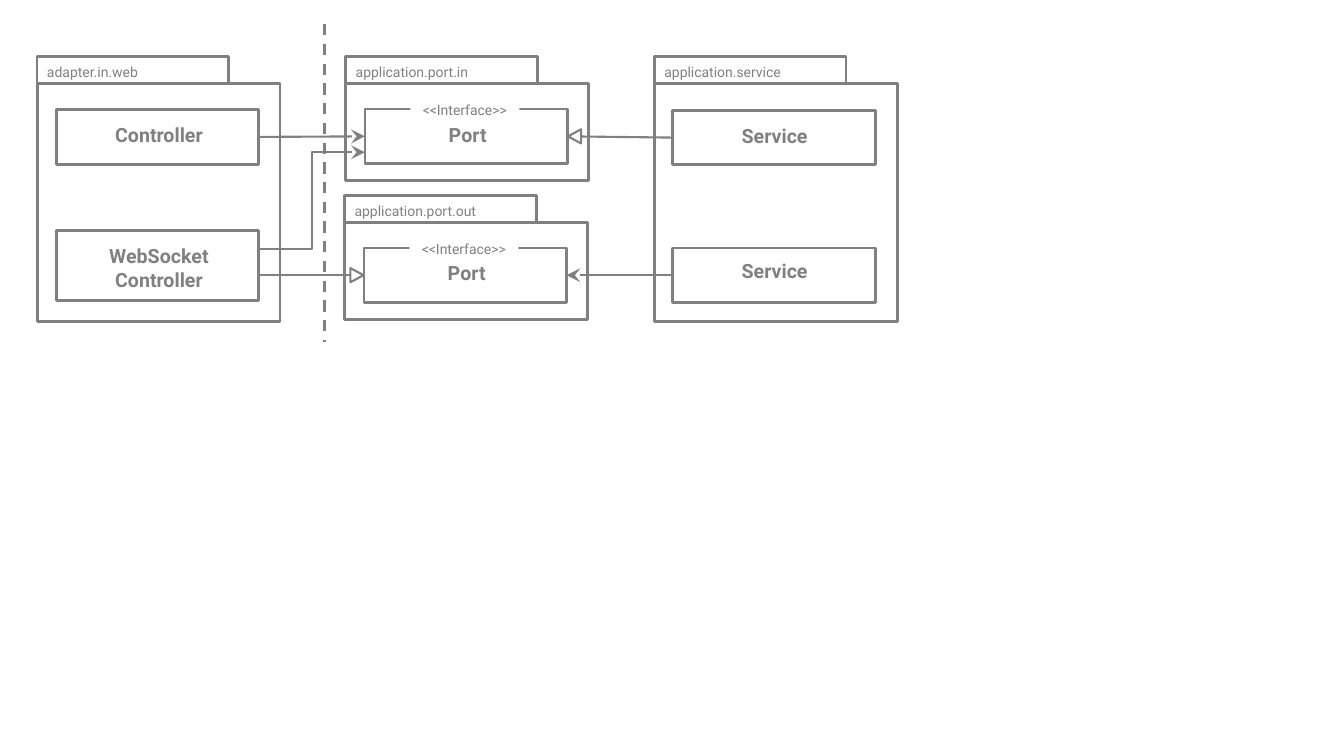
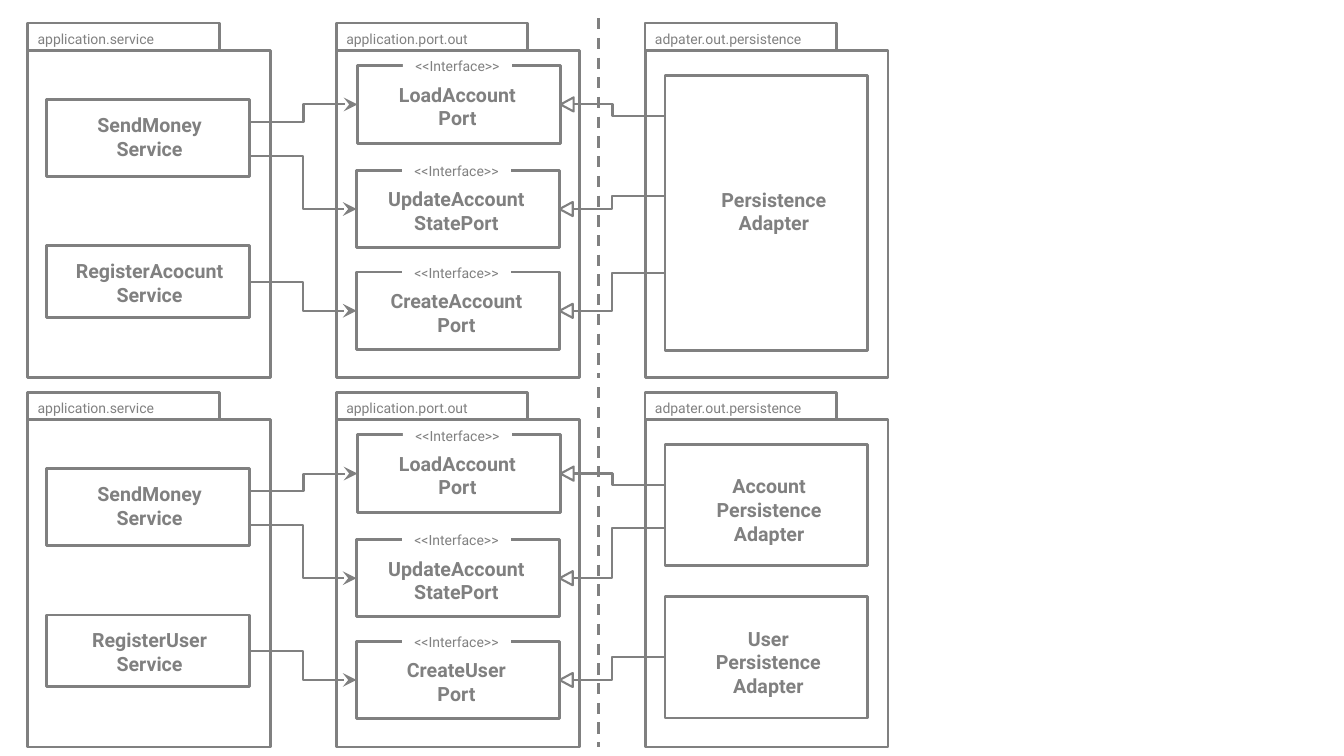
import pptx
import pptx.dml.color
import pptx.enum.dml
import pptx.enum.shapes
import pptx.enum.text
import pptx.oxml.ns
import pptx.util
from lxml import etree

Pt = pptx.util.Pt
SHAPE = pptx.enum.shapes.MSO_SHAPE
CONNECTOR = pptx.enum.shapes.MSO_CONNECTOR
ALIGN = pptx.enum.text.PP_ALIGN
ANCHOR = pptx.enum.text.MSO_ANCHOR

GRAY = pptx.dml.color.RGBColor(0x80, 0x80, 0x80)
WHITE = pptx.dml.color.RGBColor(0xFF, 0xFF, 0xFF)
FONT = "Roboto"

BOX_LINE, WIRE_LINE = 2, 1.5
PACKAGE_W, PACKAGE_PITCH = 173.5, 220.5
TAB_W, TAB_H = 136.8, 19.5
CLASS_W, CLASS_INSET = 144.7, 13.7
TAG_W, TAG_H = 77.8, 19.4
TRIANGLE_W, TRIANGLE_H = 10.1, 9.4
TOP, LEFT, BOTTOM, RIGHT = range(4)


def write(shape, text, size=14, bold=True, align=ALIGN.CENTER, margin=0, shift=(0, 0)):
    """Set text, one paragraph a line, moved off the shape's centre by shift."""
    dx, dy = shift
    frame = shape.text_frame
    frame.word_wrap = True
    frame.vertical_anchor = ANCHOR.MIDDLE
    frame.margin_left = Pt(margin + max(0, 2 * dx))
    frame.margin_right = Pt(margin + max(0, -2 * dx))
    frame.margin_top = Pt(max(0, 2 * dy))
    frame.margin_bottom = Pt(max(0, -2 * dy))
    frame.text = text
    for paragraph in frame.paragraphs:
        paragraph.alignment = align
        font = paragraph.runs[0].font
        font.name, font.size, font.bold = FONT, Pt(size), bold
        font.color.rgb = GRAY


def add_box(slide, x, y, w, h, kind=SHAPE.RECTANGLE, fill=None, line=BOX_LINE):
    shape = slide.shapes.add_shape(kind, Pt(x), Pt(y), Pt(w), Pt(h))
    shape.shadow.inherit = False
    if fill is None:
        shape.fill.background()
    else:
        shape.fill.solid()
        shape.fill.fore_color.rgb = fill
    if line:
        shape.line.color.rgb = GRAY
        shape.line.width = Pt(line)
    else:
        shape.line.fill.background()
    return shape


def add_package(slide, x, y, h, title):
    """Draw a folder whose height h includes its tab."""
    add_box(slide, x, y + TAB_H, PACKAGE_W, h - TAB_H)
    tab = add_box(slide, x, y, TAB_W, TAB_H)
    write(tab, title, size=10, bold=False, align=ALIGN.LEFT, margin=7.2, shift=(0, 1.4))


def add_class(slide, x, y, h, name, shift=(1, -1.5)):
    box = add_box(slide, x, y, CLASS_W, h)
    write(box, name, shift=shift)
    return box


def add_port(slide, x, y, h, name, shift=(1, -1.5)):
    """Draw a class whose top side is broken by the interface tag."""
    port = add_class(slide, x, y, h, name, shift)
    tag_x = x + (CLASS_W - TAG_W) / 2 - 1
    tag = add_box(slide, tag_x, y + 0.5 - TAG_H / 2, TAG_W, TAG_H, fill=WHITE, line=None)
    write(tag, "<<Interface>>", size=10, bold=False)
    return port


def add_line(slide, start, end, kind=CONNECTOR.STRAIGHT, width=WIRE_LINE, arrow=False):
    line = slide.shapes.add_connector(kind, *start, *end)
    line.line.color.rgb = GRAY
    line.line.width = Pt(width)
    properties = line.line._get_or_add_ln()
    if arrow:
        etree.SubElement(properties, pptx.oxml.ns.qn("a:tailEnd"),
                         type="stealth", w="lg", len="lg")
    properties.addnext(etree.Element(pptx.oxml.ns.qn("a:effectLst")))
    return line


def add_boundary(slide, x, top, bottom):
    line = add_line(slide, (Pt(x), Pt(top)), (Pt(x), Pt(bottom)), width=BOX_LINE)
    line.line.dash_style = pptx.enum.dml.MSO_LINE.DASH


def side_point(shape, side, y=None):
    """Point on the left or right side at y points, by default its middle."""
    x = shape.left + (shape.width if side == RIGHT else 0)
    return x, shape.top + shape.height // 2 if y is None else Pt(y)


def wire(slide, source, port, y=None, port_y=None, implements=False, straight=False):
    """Link two classes: an arrow for use, a hollow triangle for implementation."""
    leaves, enters = (RIGHT, LEFT) if source.left < port.left else (LEFT, RIGHT)
    start, end = side_point(source, leaves, y), side_point(port, enters, port_y)
    kind = CONNECTOR.STRAIGHT if straight else CONNECTOR.ELBOW
    line = add_line(slide, start, end, kind, arrow=not implements)
    if straight:
        if y is None:
            line.begin_connect(source, leaves)
        line.end_connect(port, enters)
    if implements:
        sign = 1 if enters == RIGHT else -1
        centre_x, centre_y = end[0] / Pt(1) + 5 * sign, end[1] / Pt(1)
        triangle = add_box(slide, centre_x - TRIANGLE_W / 2, centre_y - TRIANGLE_H / 2,
                           TRIANGLE_W, TRIANGLE_H, SHAPE.ISOSCELES_TRIANGLE, WHITE, WIRE_LINE)
        triangle.rotation = -90 * sign % 360


def draw_web_adapter(slide, x, y):
    height, port_height, class_h = 189.4, 88.6, 39
    out_y = y + 99.4
    port_x, service_x = x + PACKAGE_PITCH, x + 2 * PACKAGE_PITCH
    add_package(slide, x, y, height, "adapter.in.web")
    add_package(slide, service_x, y, height, "application.service")
    add_package(slide, port_x, y, port_height, "application.port.in")
    add_package(slide, port_x - 0.8, out_y, port_height, "application.port.out")

    controller = add_class(slide, x + CLASS_INSET, y + 38, class_h, "Controller")
    socket = add_class(slide, x + CLASS_INSET, y + 124.6, 49.7, "WebSocket\nController", (1, 1.5))
    in_service = add_class(slide, service_x + 13, y + 38.5, class_h, "Service", (0.5, -1.5))
    out_service = add_class(slide, service_x + 13, y + 136.8, class_h, "Service", (0.5, -3.5))
    in_port = add_port(slide, port_x + CLASS_INSET, y + 37.6, class_h, "Port")
    out_port = add_port(slide, port_x + 13, out_y + 37.4, class_h, "Port")

    add_boundary(slide, x + 205.2, y - 23, y + 203.8)
    wire(slide, controller, in_port, straight=True)
    wire(slide, socket, in_port, y=y + 137.5, port_y=y + 68.5)
    wire(slide, socket, out_port, y=y + 156.3, implements=True, straight=True)
    wire(slide, in_service, in_port, implements=True, straight=True)
    wire(slide, out_service, out_port, straight=True)


def draw_persistence(slide, x, y, register, create, adapters, implementations):
    """adapters: (top, height, name, shift); implementations: (adapter index, start y)."""
    height = 253.4
    port_x, adapter_x = x + PACKAGE_PITCH, x + 2 * PACKAGE_PITCH
    packages = ("application.service", "application.port.out", "adpater.out.persistence")
    for column, title in enumerate(packages):
        add_package(slide, x + column * PACKAGE_PITCH, y, height, title)

    send = add_class(slide, x + CLASS_INSET, y + 54.7, 54.7, "SendMoney\nService", (1, -1))
    registration = add_class(slide, x + CLASS_INSET, y + 159.1, 51.1, register, (1, 0.7))
    ports = [add_port(slide, port_x + dx, y + dy, 55.4, name, (-1, 1.3))
             for dx, dy, name in ((15.1, 30.4, "LoadAccount\nPort"),
                                  (14.4, 105.1, "UpdateAccount\nStatePort"),
                                  (14.4, 177.8, create))]
    adapter_boxes = [add_class(slide, adapter_x + 14.2, y + dy, h, name, shift)
                     for dy, h, name, shift in adapters]

    add_boundary(slide, x + 407.9, y - 3.6, y + height)
    load, update, creation = ports
    wire(slide, send, load, y=y + 70.6)
    wire(slide, send, update, y=y + 95)
    wire(slide, registration, creation)
    for port, (index, start) in zip(ports, implementations):
        wire(slide, adapter_boxes[index], port, y=y + start, implements=True)


def main():
    deck = pptx.Presentation()
    deck.slide_width, deck.slide_height = Pt(960), Pt(540)
    blank = deck.slide_layouts[6]

    draw_web_adapter(deck.slides.add_slide(blank), 26.5, 40.3)

    persistence = deck.slides.add_slide(blank)
    draw_persistence(
        persistence, 19.8, 16.5, "RegisterAcocunt\nService", "CreateAccount\nPort",
        [(37.4, 196.6, "Persistence\nAdapter", (5.4, -1.4))],
        [(0, 66.5), (0, 123.8), (0, 178.6)])
    draw_persistence(
        persistence, 19.8, 280.2, "RegisterUser\nService", "CreateUser\nPort",
        [(37.4, 86.5, "Account\nPersistence\nAdapter", (2, 3.2)),
         (146.2, 86.5, "User\nPersistence\nAdapter", (1.5, 3.2))],
        [(0, 66.5), (0, 97.2), (1, 189.4)])

    deck.save("out.pptx")


if __name__ == "__main__":
    main()
